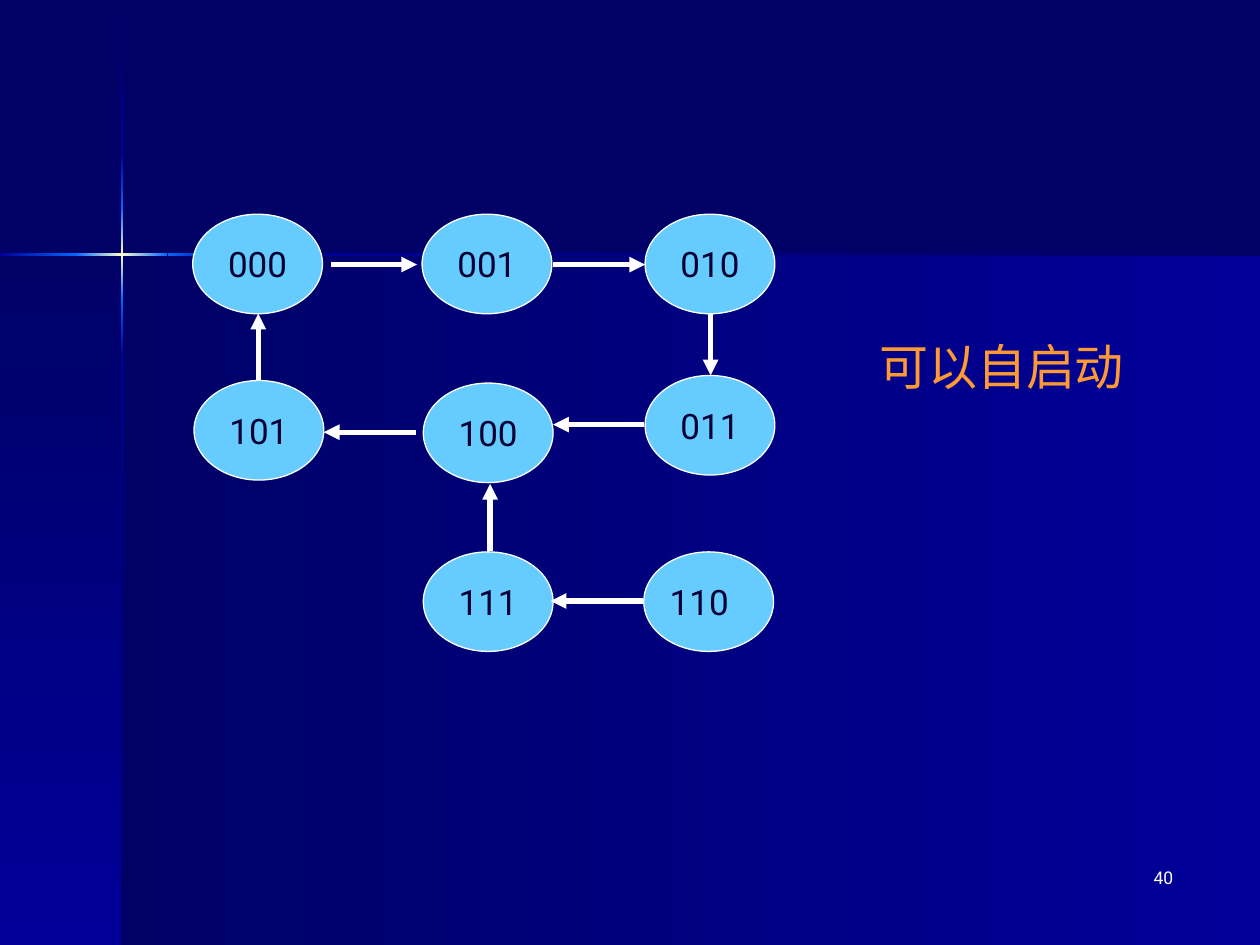
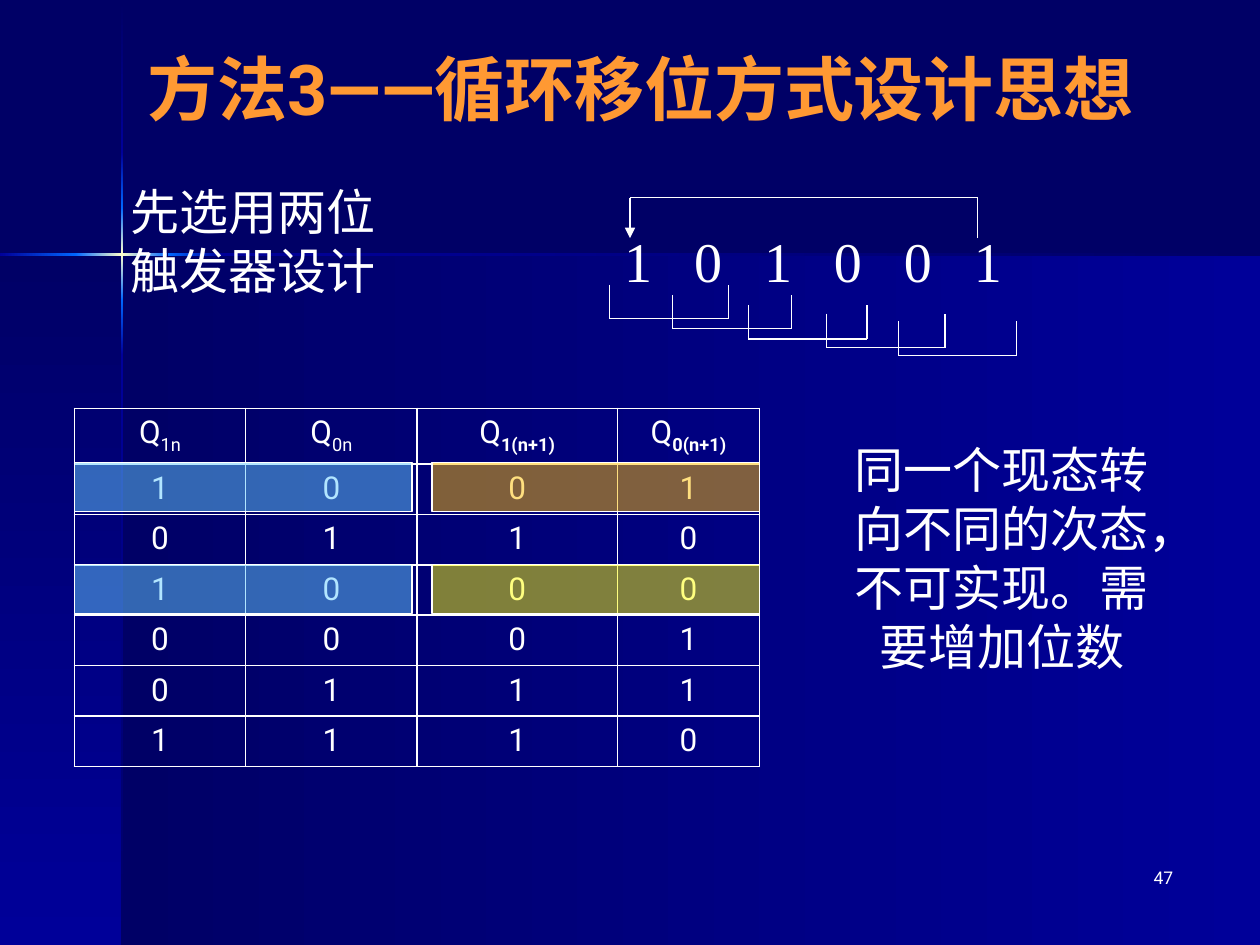
from copy import deepcopy
from itertools import pairwise

from lxml.etree import SubElement
from pptx import Presentation
from pptx.dml.color import RGBColor
from pptx.enum.shapes import MSO_CONNECTOR, MSO_SHAPE
from pptx.enum.text import MSO_ANCHOR, PP_ALIGN
from pptx.oxml.ns import qn
from pptx.util import Inches, Pt

NAVY = RGBColor(0x00, 0x00, 0x66)
BLUE = RGBColor(0x00, 0x00, 0x99)
BRIGHT = RGBColor(0x00, 0x66, 0xFF)
CREAM = RGBColor(0xFF, 0xFF, 0xCC)
WHITE = RGBColor(0xFF, 0xFF, 0xFF)
INK = RGBColor(0x00, 0x00, 0x33)
SKY = RGBColor(0x66, 0xCC, 0xFF)
ORANGE = RGBColor(0xFF, 0x99, 0x33)
AMBER = RGBColor(0xFF, 0xC0, 0x00)
YELLOW = RGBColor(0xFF, 0xFF, 0x00)
SANS, SERIF = "Roboto", "Times New Roman"

BANDS = [
    (0.97, 2.02, 9.03, 5.48, (NAVY, BLUE)),
    (0, 2.02, 0.97, 5.48, (NAVY, BLUE)),
    (0.96, 0.01, 0.02, 1.2, (NAVY, BLUE)),
    (0.96, 2.82, 0.02, 4.68, (BLUE, NAVY)),
    (1.77, 2.01, 8.23, 0.02, (BLUE, NAVY)),
    (0.96, 2.38, 0.02, 0.44, (BRIGHT, BLUE)),
    (0.96, 1.21, 0.02, 0.44, (BLUE, BRIGHT)),
    (0.96, 1.65, 0.02, 0.73, (BRIGHT, CREAM, BRIGHT)),
    (0, 2.01, 0.61, 0.02, (BLUE, BRIGHT)),
    (1.33, 2.01, 0.44, 0.02, (BRIGHT, BLUE)),
    (0.6, 2.01, 0.73, 0.02, (BRIGHT, CREAM, BRIGHT)),
]


def add_text(p, text, size=18, font=SANS, color=WHITE, bold=False,
             align=PP_ALIGN.CENTER, baseline=0, spacing=0):
    p.alignment = align
    r = p.add_run()
    r.text = text
    r.font.size, r.font.name, r.font.bold = Pt(size), font, bold
    r.font.color.rgb = color
    rPr = r.font._element
    if baseline:
        rPr.set("baseline", str(baseline * 1000))
    if spacing:
        rPr.set("spc", str(spacing * 100))


class Deck:
    """Holds the shared style and the slide being drawn."""

    def __init__(self):
        self.prs = Presentation()
        self.prs.slide_width, self.prs.slide_height = Inches(10), Inches(7.5)
        fill = self.prs.slide_master.background.fill
        fill.solid()
        fill.fore_color.rgb = NAVY

    def slide(self, number):
        self.s = self.prs.slides.add_slide(self.prs.slide_layouts[6])
        for x, y, w, h, colors in BANDS:
            self.band(x, y, w, h, colors)
        self.text(7.33, 6.83, 2.08, 0.5, str(number), size=10, align=PP_ALIGN.RIGHT)

    def shape(self, kind, x, y, w, h):
        sp = self.s.shapes.add_shape(kind, Inches(x), Inches(y), Inches(w), Inches(h))
        sp.shadow.inherit = False
        return sp

    def band(self, x, y, w, h, colors):
        sp = self.shape(MSO_SHAPE.RECTANGLE, x, y, w, h)
        sp.line.fill.background()
        sp.fill.gradient()
        upright = w < 1
        if h < 0.1:
            upright = False
        sp.fill.gradient_angle = 270 if upright else 0
        first = sp._element.spPr.xpath(".//a:gs")[0]
        for _ in colors[2:]:
            first.addnext(deepcopy(first))
        for i, (stop, color) in enumerate(zip(sp.fill.gradient_stops, colors)):
            stop.color.rgb = color
            stop.position = i / (len(colors) - 1)

    def filled(self, kind, x, y, w, h, color, opacity=100):
        sp = self.shape(kind, x, y, w, h)
        sp.fill.solid()
        sp.fill.fore_color.rgb = color
        sp.line.color.rgb, sp.line.width = WHITE, Pt(0.75)
        if opacity < 100:
            clr = sp._element.spPr.xpath("./a:solidFill/a:srgbClr")[0]
            SubElement(clr, qn("a:alpha")).set("val", str(opacity * 1000))
        return sp

    def state(self, x, y, code, margin_right=0):
        sp = self.filled(MSO_SHAPE.OVAL, x, y, 1.03, 0.79, SKY)
        tf = sp.text_frame
        tf.word_wrap = False
        tf.margin_left, tf.margin_right = 0, Inches(margin_right)
        tf.vertical_anchor = MSO_ANCHOR.MIDDLE
        add_text(tf.paragraphs[0], code, size=20, color=INK)

    def text(self, x, y, w, h, text, anchor=MSO_ANCHOR.TOP, **fmt):
        tf = self.s.shapes.add_textbox(Inches(x), Inches(y), Inches(w), Inches(h)).text_frame
        tf.word_wrap = True
        tf.vertical_anchor = anchor
        add_text(tf.paragraphs[0], text, **fmt)

    def title(self, text):
        self.text(0.5, 0.28, 9.17, 0.83, text, MSO_ANCHOR.MIDDLE,
                  size=40, color=ORANGE, bold=True)

    def line(self, start, end, width=0.75, arrow=False):
        c = self.s.shapes.add_connector(MSO_CONNECTOR.STRAIGHT,
                                        *(Inches(v) for v in (*start, *end)))
        c.line.color.rgb, c.line.width = WHITE, Pt(width)
        if arrow:
            SubElement(c.line._ln, qn("a:tailEnd")).set("type", "triangle")
        SubElement(c._element.spPr, qn("a:effectLst"))

    def polyline(self, points, arrow=False):
        for start, end in pairwise(points):
            self.line(start, end, arrow=arrow and end == points[-1])

    def table(self, x, y, widths, row_height, header, rows):
        n = len(rows) + 1
        tbl = self.s.shapes.add_table(n, len(widths), Inches(x), Inches(y),
                                      Inches(sum(widths)), Inches(n * row_height)).table
        tbl.first_row = tbl.horz_banding = False
        for col, w in zip(tbl.columns, widths):
            col.width = Inches(w)
        for row in tbl.rows:
            row.height = Inches(row_height)
        for i, values in enumerate([header, *rows]):
            for j, value in enumerate(values):
                cell = tbl.cell(i, j)
                self.borders(cell)
                cell.fill.background()
                p = cell.text_frame.paragraphs[0]
                if i:
                    add_text(p, value)
                else:
                    add_text(p, "Q")
                    add_text(p, value, baseline=-25, bold="+" in value)

    def borders(self, cell):
        tcPr = cell._tc.get_or_add_tcPr()
        for side in "LRTB":
            ln = SubElement(tcPr, qn(f"a:ln{side}"), w=str(Pt(1)))
            SubElement(SubElement(ln, qn("a:solidFill")), qn("a:srgbClr")).set("val", str(WHITE))


def state_diagram(d):
    d.slide(40)
    for x, y, code in [(1.53, 1.7, "000"), (3.35, 1.7, "001"), (5.12, 1.7, "010"),
                       (1.54, 3.02, "101"), (3.36, 3.04, "100"), (5.12, 2.98, "011"),
                       (3.36, 4.38, "111")]:
        d.state(x, y, code)
    d.state(5.11, 4.38, "110", margin_right=0.15)
    for start, end in [((2.63, 2.1), (3.31, 2.1)), ((4.39, 2.1), (5.12, 2.1)),
                       ((5.64, 2.49), (5.64, 2.98)), ((5.11, 3.37), (4.39, 3.37)),
                       ((3.3, 3.43), (2.57, 3.43)), ((2.05, 3.02), (2.05, 2.49)),
                       ((5.1, 4.77), (4.37, 4.77)), ((3.89, 4.37), (3.89, 3.84))]:
        d.line(start, end, width=3, arrow=True)
    d.text(6.88, 2.62, 2.57, 0.57, "可以自启动", size=28, color=ORANGE, align=PP_ALIGN.LEFT)


def shift_method(d):
    d.slide(47)
    d.title("方法3——循环移位方式设计思想")
    d.text(0.83, 1.39, 2.36, 1.04, "先选用两位触发器设计", size=28, font=SERIF)
    d.text(4.5, 1.75, 3.91, 0.64, "1 0 1 0 0 1", size=32, font=SERIF, spacing=8)
    for x, y in [(4.84, 2.26), (5.34, 2.34), (5.94, 2.42), (6.56, 2.49), (7.13, 2.55)]:
        base, right = y + 0.27, x + 0.94
        d.polyline([(x, y), (x, base), (right, base), (right, y)])
    d.polyline([(7.76, 1.89), (7.76, 1.57), (5, 1.57), (5, 1.89)], arrow=True)
    d.table(0.59, 3.24, [1.36, 1.36, 1.59, 1.13], 0.4,
            ["1n", "0n", "1(n+1)", "0(n+1)"],
            ["1001", "0110", "1000", "0001", "0111", "1110"])
    for y, next_color in [(3.67, AMBER), (4.48, YELLOW)]:
        d.filled(MSO_SHAPE.RECTANGLE, 0.59, y, 2.68, 0.39, SKY, opacity=50)
        d.filled(MSO_SHAPE.RECTANGLE, 3.43, y, 2.6, 0.39, next_color, opacity=50)
    d.text(6.65, 3.44, 2.6, 1.98, "同一个现态转向不同的次态，不可实现。需要增加位数",
           size=28, font=SERIF)


def main():
    d = Deck()
    state_diagram(d)
    shift_method(d)
    d.prs.save("out.pptx")


if __name__ == "__main__":
    main()
